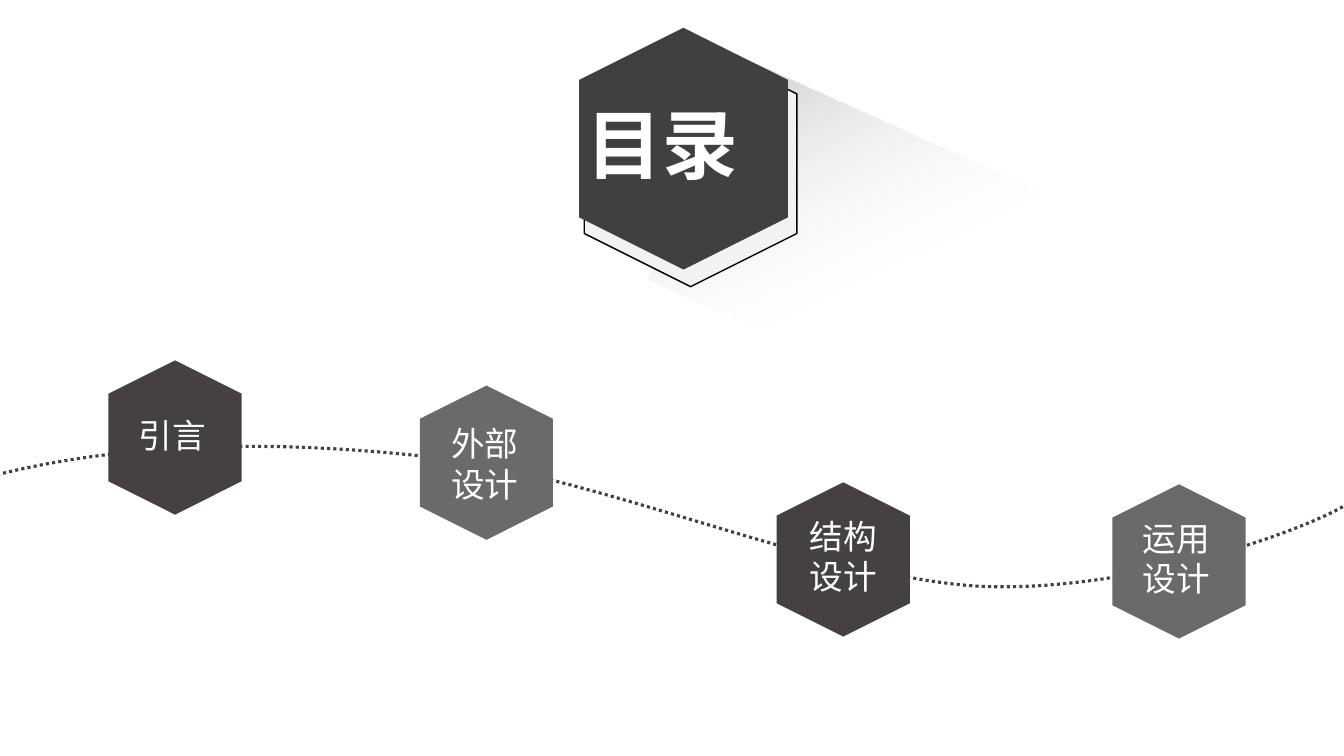
from lxml import etree
from pptx import Presentation
from pptx.dml.color import RGBColor
from pptx.enum.dml import MSO_LINE
from pptx.enum.shapes import MSO_SHAPE
from pptx.enum.text import MSO_AUTO_SIZE, PP_ALIGN
from pptx.oxml.ns import qn
from pptx.util import Inches, Pt

HEXAGON, RECTANGLE = MSO_SHAPE.HEXAGON, MSO_SHAPE.RECTANGLE
LEFT, CENTER, JUSTIFY = PP_ALIGN.LEFT, PP_ALIGN.CENTER, PP_ALIGN.JUSTIFY
DOTTED = MSO_LINE.ROUND_DOT
FIT_TEXT = MSO_AUTO_SIZE.SHAPE_TO_FIT_TEXT
FONT = "Noto Sans CJK SC"
COLORS = {
    "white": "FFFFFF", "outline": "000000", "road": "3F404B",
    "title": "404040", "title back": "F2F2F2",
    "dark stop": "454141", "grey stop": "6A6A6A",
    "beam start": "838383", "beam middle": "BFBFBF",
}

presentation = Presentation()
presentation.slide_width, presentation.slide_height = Inches(13.33), Inches(7.5)
slide = presentation.slides.add_slide(presentation.slide_layouts[6])

# All positions and sizes are percentages of the slide's width and height.
column = presentation.slide_width / 100
row = presentation.slide_height / 100


def add_rotated(kind, left, top, width, height, rotation, color=None):
    shape = slide.shapes.add_shape(
        kind, int(left * column), int(top * row), int(width * column), int(height * row))
    shape.rotation = rotation
    shape.shadow.inherit = False
    shape.line.fill.background()
    if color:
        shape.fill.solid()
        shape.fill.fore_color.rgb = RGBColor.from_string(COLORS[color])
    return shape


def add_label(text, left, top, width, height, size, alignment, bold=False):
    label = slide.shapes.add_textbox(
        int(left * column), int(top * row), int(width * column), int(height * row))
    text_frame = label.text_frame
    text_frame.word_wrap = True
    text_frame.auto_size = FIT_TEXT
    text_frame.text = text
    paragraph = text_frame.paragraphs[0]
    paragraph.alignment = alignment
    font = paragraph.runs[0].font
    font.name, font.size, font.bold = FONT, Pt(size), bold
    font.color.rgb = RGBColor.from_string(COLORS["white"])
    properties = paragraph.runs[0]._r.get_or_add_rPr()
    etree.SubElement(properties, qn("a:ea"), typeface=FONT)


# Light beam behind the title
beam = add_rotated(RECTANGLE, 50.4, 18.8, 33.83, 31.87, 24.2)
beam.fill.gradient()
beam.fill.gradient_angle = 320
stop_list = beam._element.spPr.find(qn("a:gradFill")).find(qn("a:gsLst"))
for old_stop in list(stop_list):
    stop_list.remove(old_stop)
for position, color, opacity in [
        (0, "beam start", 54), (0, "beam middle", 100), (54, "white", 0)]:
    stop = etree.SubElement(stop_list, qn("a:gs"), pos=str(position * 1000))
    stop_color = etree.SubElement(stop, qn("a:srgbClr"), val=COLORS[color])
    etree.SubElement(stop_color, qn("a:alpha"), val=str(opacity * 1000))

# Winding road: three cubic Bézier curves, each starting where the last one ends
road_controls = [
    (-0.23, 62.8), (9.08, 58.67), (20.1, 58), (32.4, 60.53),
    (44.63, 62.93), (62.1, 76.93), (73.5, 77.6),
    (84.98, 78.13), (97.35, 69.87), (100.13, 66.8),
]
STEPS = 40
road_points = []
for first in range(0, len(road_controls) - 1, 3):
    controls = road_controls[first:first + 4]
    for step in range(STEPS + 1):
        t = step / STEPS
        weights = [(1 - t) ** 3, 3 * t * (1 - t) ** 2, 3 * t ** 2 * (1 - t), t ** 3]
        x = sum(weight * point[0] for weight, point in zip(weights, controls))
        y = sum(weight * point[1] for weight, point in zip(weights, controls))
        road_points.append((int(x * column), int(y * row)))
builder = slide.shapes.build_freeform(*road_points[0])
builder.add_line_segments(road_points[1:], close=False)
road = builder.convert_to_shape()
road.shadow.inherit = False
road.fill.background()
road.line.color.rgb = RGBColor.from_string(COLORS["road"])
road.line.width = Pt(2.25)
road.line.dash_style = DOTTED

# Title
title_back = add_rotated(HEXAGON, 42.23, 7.6, 18.3, 28.13, 90, "title back")
title_back.line.color.rgb = RGBColor.from_string(COLORS["outline"])
title_back.line.width = Pt(1)
add_rotated(HEXAGON, 41.85, 5.87, 18, 27.6, 90, "title")
add_label("目录", 42.9, 12.27, 15.75, 13.47, 54, JUSTIFY, bold=True)

# Stops on the road: text, colour, hexagon corner, label box, alignment
stops = [
    ("外部设计", "grey stop", (30.45, 52.4), (32.85, 55.33, 8.18, 12.13), LEFT),
    ("运用设计", "grey stop", (81.98, 65.47), (84.3, 67.87, 8.85, 12.13), LEFT),
    ("引言", "dark stop", (7.28, 49.07), (9.6, 54.27, 6.83, 6.67), LEFT),
    ("结构设计", "dark stop", (57, 65.2), (58.5, 67.6, 8.48, 12.13), CENTER),
]
for text, color, corner, box, alignment in stops:
    add_rotated(HEXAGON, *corner, 11.48, 17.6, 90, color)
    add_label(text, *box, 24, alignment)

presentation.save("out.pptx")
